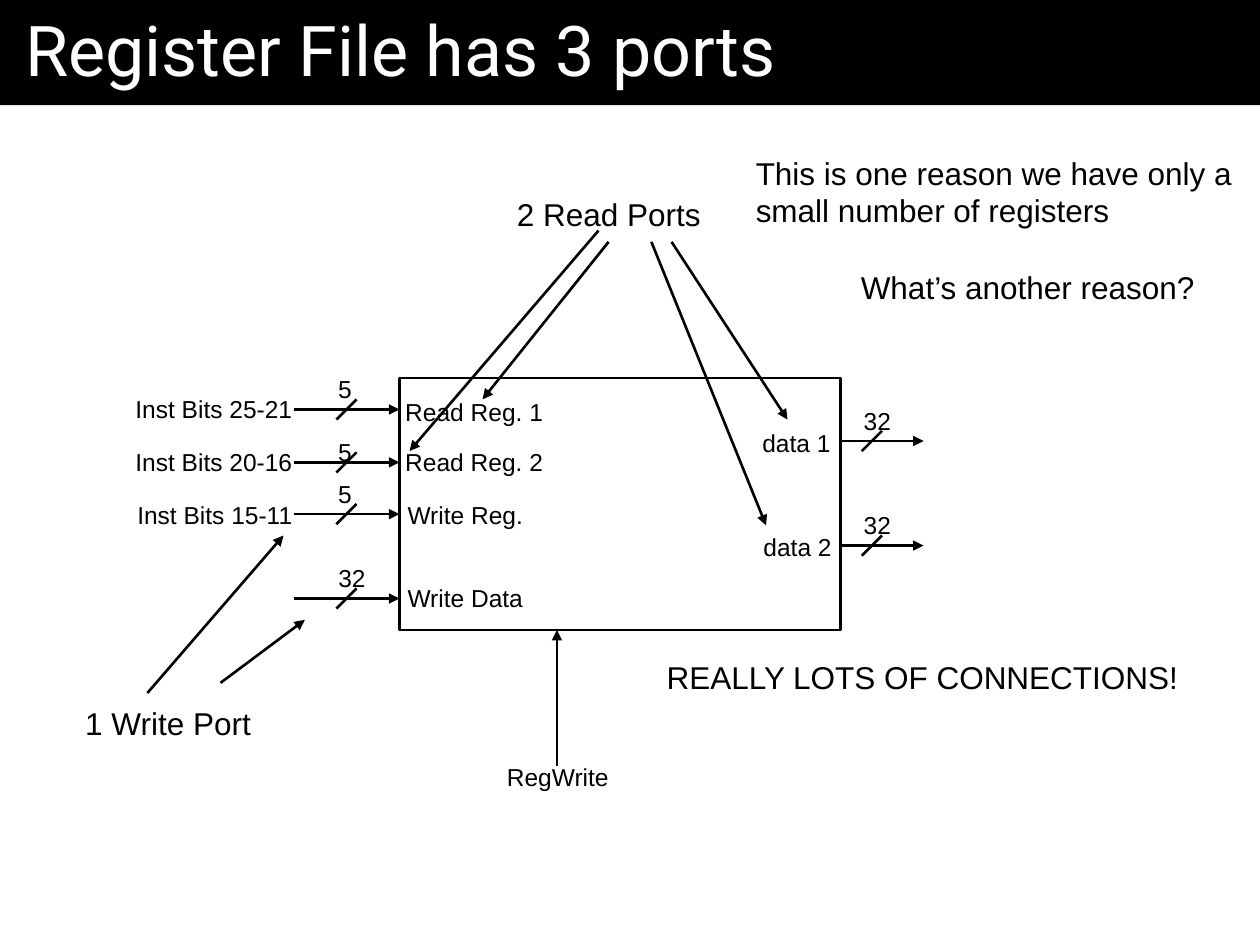
from dataclasses import dataclass
from lxml.etree import SubElement as Sub
from pptx import Presentation
from pptx.dml.color import RGBColor as Rgb
from pptx.enum.shapes import MSO_CONNECTOR as Conn, MSO_SHAPE as Kind
from pptx.enum.text import MSO_ANCHOR as Anchor, MSO_AUTO_SIZE as Fit, PP_ALIGN as Align
from pptx.oxml.ns import qn
from pptx.util import Inches, Pt

COLORS = {"ink": "000000", "paper": "FFFFFF"}
SMALL, LARGE = 14, 18


@dataclass
class Label:
    text: str
    x: float
    y: float
    w: float
    size: int = SMALL
    align: Align = Align.RIGHT
    wrap: bool = False


@dataclass
class Line:
    x1: float
    y1: float
    x2: float
    y2: float
    arrow: bool = True


@dataclass
class Bus:
    x1: float
    x2: float
    y: float
    slash: float
    bits: str
    rise: float = 0.33


def color(name: str) -> Rgb:
    return Rgb.from_string(COLORS[name])


def style(para, face: str, size: int, ink: str, align: Align) -> None:
    para.alignment = align
    para.space_before = Pt(0)
    para.font.name = face
    para.font.size = Pt(size)
    para.font.color.rgb = color(ink)


def draw_title(slide, text: str) -> None:
    title = slide.shapes.title
    title.left, title.top = Inches(0), Inches(0)
    title.width, title.height = Inches(10), Inches(0.77)
    title.fill.solid()
    title.fill.fore_color.rgb = color("ink")
    frame = title.text_frame
    frame.text = text
    frame.margin_left = frame.margin_right = Inches(0.2)
    frame.margin_top = frame.margin_bottom = Inches(0.05)
    frame.vertical_anchor = Anchor.TOP
    frame.auto_size = Fit.SHAPE_TO_FIT_TEXT
    style(frame.paragraphs[0], "Roboto", 40, "paper", Align.LEFT)


def draw_file(slide) -> None:
    box = slide.shapes.add_shape(
        Kind.RECTANGLE, Inches(3.17), Inches(3), Inches(3.5), Inches(2))
    box.shadow.inherit = False
    box.fill.background()
    box.line.color.rgb = color("ink")
    box.line.width = Pt(1.5)


def draw_label(slide, label: Label) -> None:
    high = 0.7 if label.wrap else 0.34 if label.size == SMALL else 0.4
    box = slide.shapes.add_textbox(
        Inches(label.x), Inches(label.y), Inches(label.w), Inches(high))
    frame = box.text_frame
    frame.text = label.text
    frame.word_wrap = label.wrap
    frame.auto_size = Fit.SHAPE_TO_FIT_TEXT
    style(frame.paragraphs[0], "Arial", label.size, "ink", label.align)


def draw_line(slide, line: Line) -> None:
    ends = (Inches(v) for v in (line.x1, line.y1, line.x2, line.y2))
    wire = slide.shapes.add_connector(Conn.STRAIGHT, *ends)
    wire.line.color.rgb = color("ink")
    wire.line.width = Pt(1.5)
    if line.arrow:
        Sub(wire.line._get_or_add_ln(), qn("a:tailEnd"), type="triangle")
    Sub(wire._element.spPr, qn("a:effectLst"))


def draw_bus(slide, bus: Bus) -> None:
    half = 0.08
    draw_line(slide, Line(bus.x1, bus.y, bus.x2, bus.y))
    draw_line(slide, Line(bus.slash + half, bus.y - half,
                          bus.slash - half, bus.y + half, False))
    wide = 0.31 if len(bus.bits) == 1 else 0.42
    draw_label(slide, Label(bus.bits, bus.slash - 0.17, bus.y - bus.rise, wide))


BUSES = [
    Bus(2.33, 3.17, 3.25, 2.75, "5"),
    Bus(2.33, 3.17, 3.67, 2.75, "5", 0.25),
    Bus(2.33, 3.17, 4.08, 2.75, "5"),
    Bus(2.33, 3.17, 4.75, 2.75, "32"),
    Bus(6.67, 7.33, 3.5, 6.92, "32"),
    Bus(6.67, 7.33, 4.33, 6.92, "32"),
]

LABELS = [
    Label("Read Reg. 1", 3.11, 3.1, 1.3),
    Label("Read Reg. 2", 3.11, 3.5, 1.3),
    Label("Write Reg.", 3.13, 3.92, 1.12),
    Label("Write Data", 3.13, 4.58, 1.12),
    Label("data 1", 5.94, 3.35, 0.75),
    Label("data 2", 5.95, 4.17, 0.75),
    Label("Inst Bits 25-21", 0.96, 3.08, 1.46),
    Label("Inst Bits 20-16", 0.96, 3.5, 1.46),
    Label("Inst Bits 15-11", 0.98, 3.92, 1.44),
    Label("RegWrite", 3.92, 6, 1.01),
    Label("2 Read Ports", 4, 1.5, 1.66, LARGE),
    Label("1 Write Port", 0.57, 5.54, 1.52, LARGE),
    Label("REALLY LOTS OF CONNECTIONS!", 5.17, 5.17, 4.28, LARGE),
    Label("This is one reason we have only a small number of registers",
          5.9, 1.17, 4.1, LARGE, Align.LEFT, True),
    Label("What’s another reason?", 6.58, 2.08, 3, LARGE),
]

ARROWS = [
    Line(4.42, 6.08, 4.42, 5),
    Line(4.75, 1.83, 3.25, 3.58),
    Line(4.83, 1.92, 3.83, 3.17),
    Line(5.17, 1.92, 6.08, 4.17),
    Line(5.33, 1.92, 6.25, 3.33),
    Line(1.17, 5.5, 2.25, 4.25),
    Line(1.75, 5.42, 2.42, 4.92),
]


def main() -> None:
    deck = Presentation()
    deck.slide_width, deck.slide_height = Inches(10), Inches(7.5)
    slide = deck.slides.add_slide(deck.slide_layouts[5])
    draw_title(slide, "Register File has 3 ports")
    draw_file(slide)
    for bus in BUSES:
        draw_bus(slide, bus)
    for label in LABELS:
        draw_label(slide, label)
    for arrow in ARROWS:
        draw_line(slide, arrow)
    deck.save("out.pptx")


if __name__ == "__main__":
    main()
